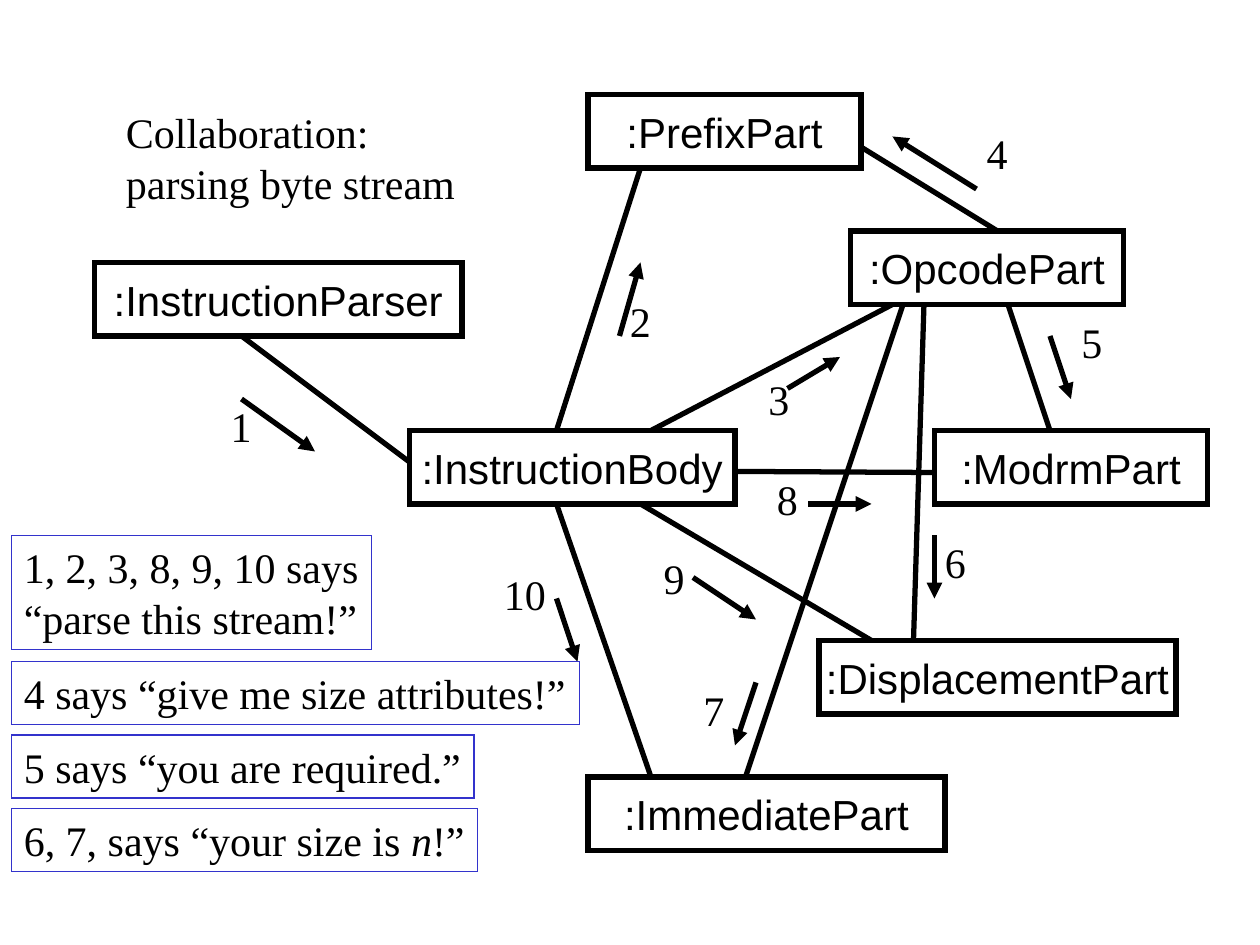
from dataclasses import dataclass

from lxml.etree import SubElement
from pptx import Presentation
from pptx.dml.color import RGBColor
from pptx.enum.shapes import MSO_CONNECTOR as Connector, MSO_SHAPE as Shape
from pptx.enum.text import MSO_ANCHOR as Anchor, MSO_AUTO_SIZE as AutoSize, PP_ALIGN as Align
from pptx.oxml.ns import qn
from pptx.util import Cm, Pt


@dataclass(frozen=True)
class Theme:
    ink: RGBColor = RGBColor(0x00, 0x00, 0x00)
    paper: RGBColor = RGBColor(0xFF, 0xFF, 0xFF)
    note_border: RGBColor = RGBColor(0x33, 0x33, 0xCC)
    text_size: Pt = Pt(24)
    object_font: str = "Arial"
    text_font: str = "Times New Roman"
    heavy: Pt = Pt(3)
    thin: Pt = Pt(0.75)


THEME = Theme()
OBJECT_HEIGHT = 7
ROW_HEIGHT = 1.27

# Objects: name, left, top, width in grid units
OBJECTS = [
    (":InstructionParser", 9, 25, 35),
    (":InstructionBody", 39, 41, 31),
    (":ModrmPart", 89, 41, 26),
    (":OpcodePart", 81, 22, 26),
    (":PrefixPart", 56, 9, 26),
    (":DisplacementPart", 78, 61, 34),
    (":ImmediatePart", 56, 74, 34),
]

# Links between objects: start and end in grid units
LINKS = [
    ((53, 41), (61, 16)),    # body - prefix
    ((62, 41), (85, 29)),    # body - opcode
    ((70, 44.9), (89, 45)),  # body - modrm
    ((61, 48), (83, 61)),    # body - displacement
    ((53, 48), (62, 74)),    # body - immediate
    ((23, 32), (39, 44)),    # parser - body
    ((96, 29), (100, 41)),   # opcode - modrm
    ((88, 29), (87, 61)),    # opcode - displacement
    ((86, 29), (71, 74)),    # opcode - immediate
    ((82, 14), (95, 22)),    # prefix - opcode
]

# Messages: number, arrow start and end in grid units, label corner in cm
MESSAGES = [
    ("1", (23, 38), (30, 43), (4.4, 7.95)),
    ("2", (59, 32), (61, 25), (12.45, 5.84)),
    ("3", (75, 37), (80, 34), (15.24, 7.41)),
    ("4", (93, 18), (85, 13), (19.64, 2.44)),
    ("5", (100, 32), (102, 38), (21.55, 6.25)),
    ("6", (89, 51), (89, 57), (18.8, 10.7)),
    ("7", (72, 65), (70, 71), (13.93, 13.67)),
    ("8", (77, 48), (83, 48), (15.41, 9.43)),
    ("9", (66, 55), (72, 59), (13.13, 11.01)),
    ("10", (53, 57), (55, 63), (9.91, 11.33)),
]

# Notes: top, width, height in cm, then lines made of (text, italic) runs
NOTES = [
    (10.8, 7.26, 2.29, [[("1, 2, 3, 8, 9, 10 says", False)],
                        [("“parse this stream!”", False)]]),
    (13.34, 11.45, ROW_HEIGHT, [[("4 says “give me size attributes!”", False)]]),
    (14.82, 9.33, ROW_HEIGHT, [[("5 says “you are required.”", False)]]),
    (16.3, 9.4, ROW_HEIGHT, [[("6, 7, says “your size is ", False), ("n", True), ("!”", False)]]),
]


def grid(units):
    """The slide is 120 by 90 grid units."""
    return Cm(25.4 * units / 120)


def write_lines(frame, lines, font_name, align=Align.LEFT, anchor=Anchor.TOP):
    frame.word_wrap = False
    frame.vertical_anchor = anchor
    for index, runs in enumerate(lines):
        line = frame.add_paragraph() if index else frame.paragraphs[0]
        line.alignment = align
        line.font.name = font_name
        line.font.size = THEME.text_size
        line.font.color.rgb = THEME.ink
        for text, italic in runs:
            run = line.add_run()
            run.text = text
            if italic:
                run.font.italic = True


def draw_border(box, color, width):
    """Give a box an outline with square corners."""
    box.line.color.rgb = color
    box.line.width = width
    SubElement(box.line._get_or_add_ln(), qn("a:miter"), lim="800000")


def add_object(slide, name, left, top, width):
    box = slide.shapes.add_shape(
        Shape.RECTANGLE, grid(left), grid(top), grid(width), grid(OBJECT_HEIGHT))
    box.shadow.inherit = False
    box.fill.solid()
    box.fill.fore_color.rgb = THEME.paper
    draw_border(box, THEME.ink, THEME.heavy)
    write_lines(box.text_frame, [[(name, False)]], THEME.object_font, Align.CENTER, Anchor.MIDDLE)


def add_line(slide, start, end, arrow=False):
    line = slide.shapes.add_connector(
        Connector.STRAIGHT, *(grid(units) for units in (*start, *end)))
    line.line.color.rgb = THEME.ink
    line.line.width = THEME.heavy
    if arrow:
        SubElement(line.line._get_or_add_ln(), qn("a:tailEnd"), type="triangle")
    SubElement(line._element.spPr, qn("a:effectLst"))


def add_text(slide, lines, left, top, width, height):
    label = slide.shapes.add_textbox(Cm(left), Cm(top), Cm(width), Cm(height))
    write_lines(label.text_frame, lines, THEME.text_font)
    label.text_frame.auto_size = AutoSize.SHAPE_TO_FIT_TEXT
    return label


def add_note(slide, top, width, height, lines):
    note = add_text(slide, lines, 0.23, top, width, height)
    draw_border(note, THEME.note_border, THEME.thin)


def main():
    deck = Presentation()
    deck.slide_width, deck.slide_height = grid(120), grid(90)
    slide = deck.slides.add_slide(deck.slide_layouts[6])

    # Objects and their links
    for entry in OBJECTS:
        add_object(slide, *entry)
    for start, end in LINKS:
        add_line(slide, start, end)

    # Title
    add_text(slide, [[("Collaboration:", False)], [("parsing byte stream", False)]],
             2.29, 2.03, 7.14, 2.29)

    # Numbered messages
    for number, start, end, corner in MESSAGES:
        add_line(slide, start, end, arrow=True)
        width = 0.48 + 0.44 * len(number)
        add_text(slide, [[(number, False)]], *corner, width, ROW_HEIGHT)

    # Notes on the messages
    for entry in NOTES:
        add_note(slide, *entry)

    deck.save("out.pptx")


if __name__ == "__main__":
    main()
